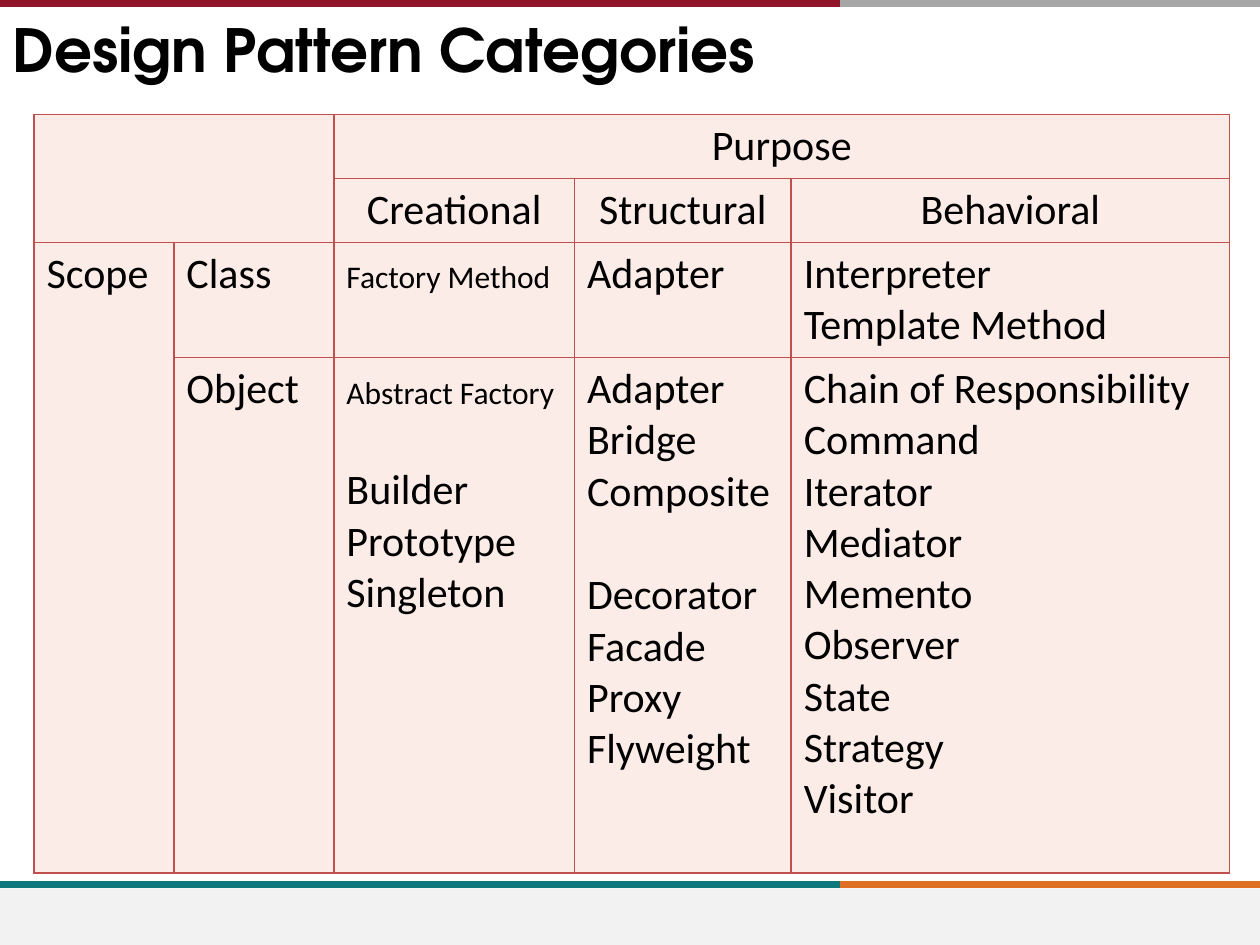
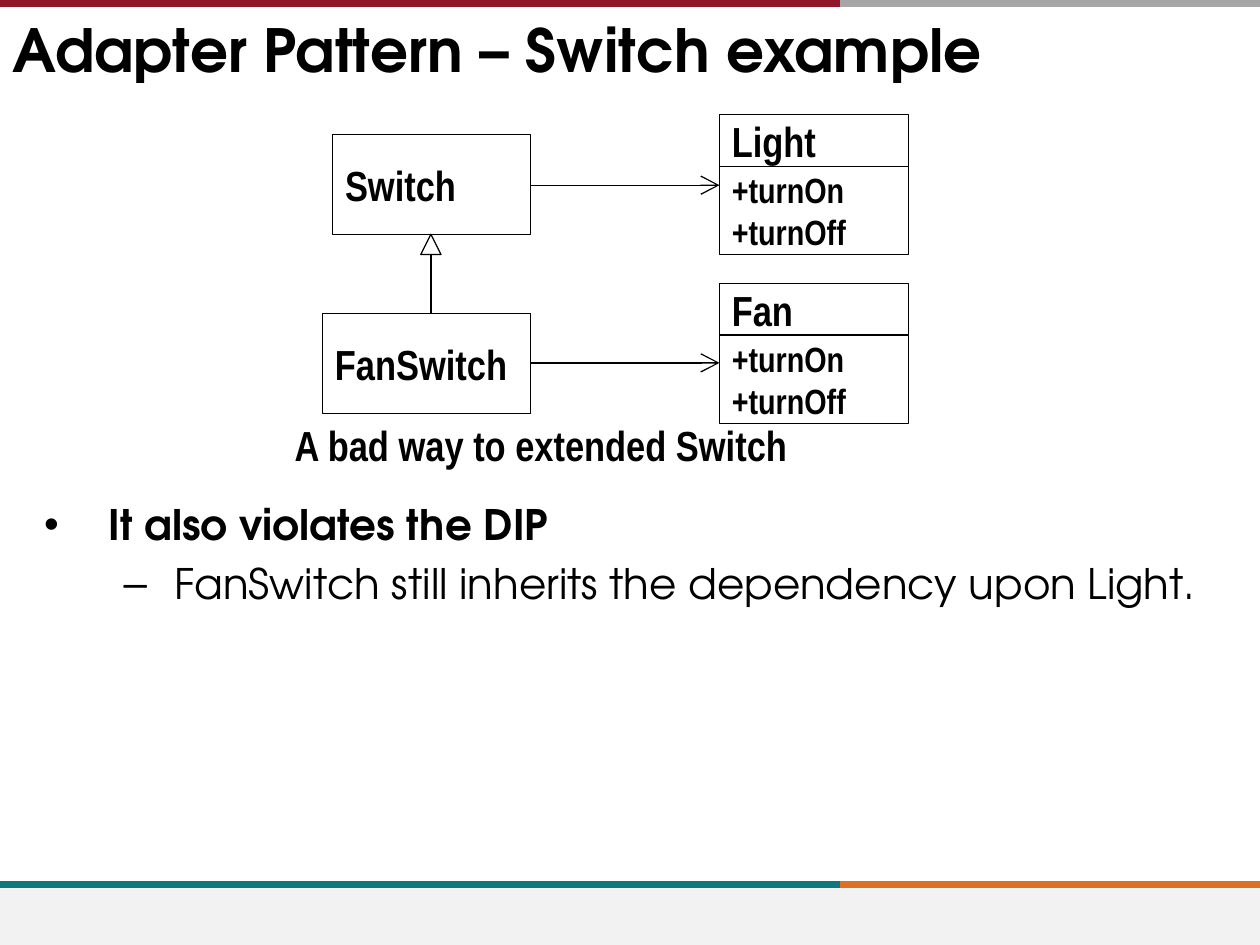
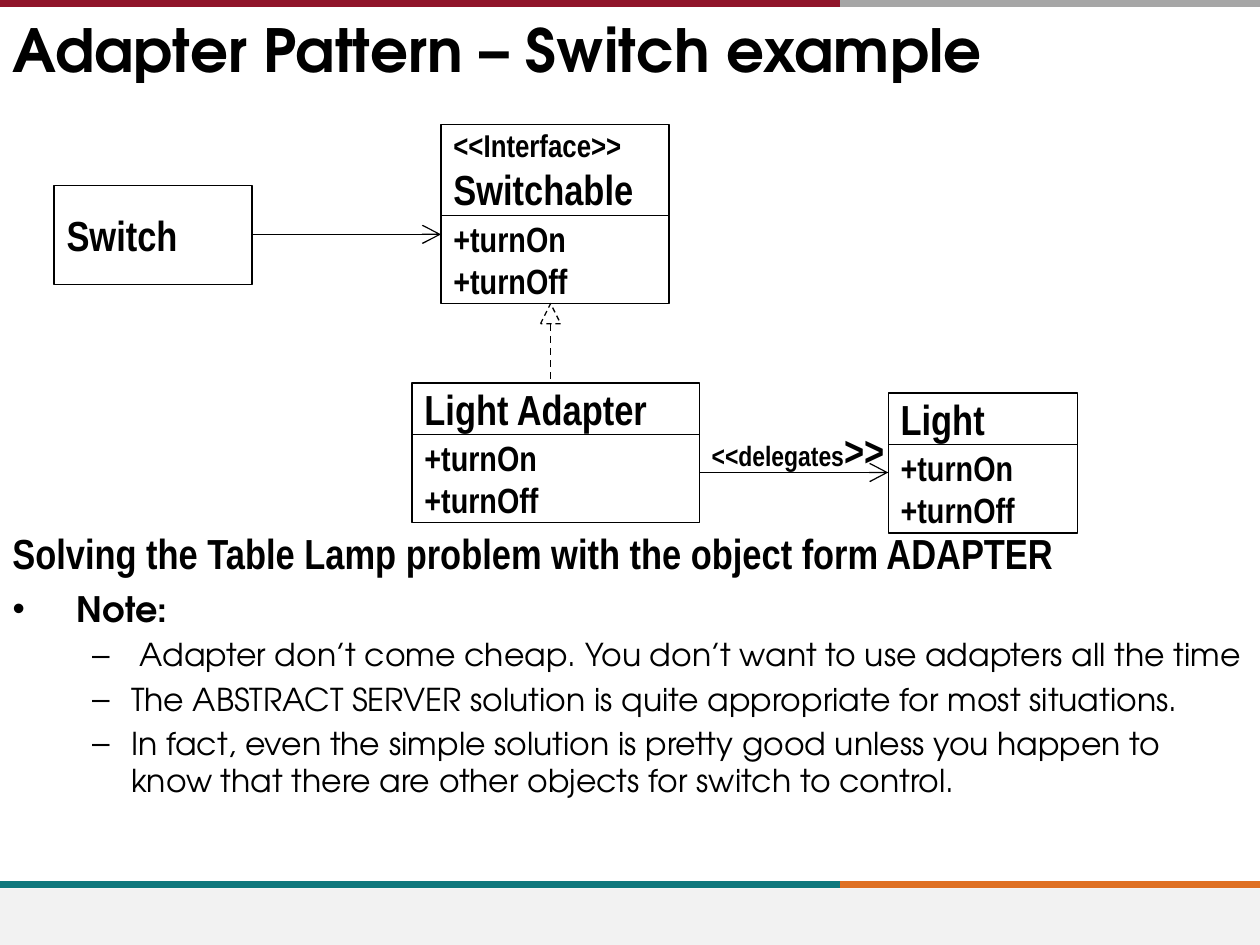
from pptx import Presentation, util as u
from pptx.dml.color import RGBColor
from pptx.enum import dml, shapes, text
from pptx.oxml import ns, parse_xml

HEAD = "TeX Gyre Adventor"
BODY = "Calibri"
NARROW = "Arial Narrow"
BLACK = "000000"
ROSE = "FCECE8"
RED = "C0504D"
SPACE = 'xmlns:a="http://schemas.openxmlformats.org/drawingml/2006/main"'
CALLS = "+turnOn\n+turnOff"


def hue(code):
    return RGBColor.from_string(code)


def put(frame, words, size, font=NARROW, bold=True, align="LEFT", level=0, before=None, pitch=None):
    para = frame.paragraphs[0]
    if para.runs:
        para = frame.add_paragraph()
    para.text = words
    para.alignment = getattr(text.PP_ALIGN, align)
    para.level = level
    if before is not None:
        para.space_before = u.Pt(before)
    if pitch:
        para.line_spacing = u.Pt(pitch)
    for run in para.runs:
        run.font.size = u.Pt(size)
        run.font.name = font
        run.font.bold = bold
        run.font.color.rgb = hue(BLACK)
    return para


deck = Presentation()
deck.slide_width, deck.slide_height = u.Inches(10), u.Inches(7.5)
plain, listed = deck.slide_layouts[5], deck.slide_layouts[1]

titles = [
    (plain, "Design Pattern Categories"),
    (listed, "Adapter Pattern – Switch example"),
    (listed, "Adapter Pattern – Switch example"),
]
for layout, words in titles:
    slide = deck.slides.add_slide(layout)
    title = slide.shapes.title
    title.left, title.top = u.Inches(0), u.Inches(0)
    title.width, title.height = u.Inches(9.93), u.Inches(0.78)
    title.text_frame.vertical_anchor = text.MSO_ANCHOR.MIDDLE
    title.text_frame.auto_size = text.MSO_AUTO_SIZE.NONE
    put(title.text_frame, words, 34, HEAD)

grid, bad, good = deck.slides

foot = grid.shapes.add_shape(shapes.MSO_SHAPE.RECTANGLE, u.Inches(0), u.Inches(7.05), u.Inches(10), u.Inches(0.45))
foot.fill.solid()
foot.fill.fore_color.rgb = hue("F2F2F2")
foot.line.fill.background()
foot.shadow.inherit = False
bands = [foot]
for left, right, y, code in [
    (6.67, 10, 7.02, "DF7023"),
    (0, 6.67, 7.02, "0F787D"),
    (6.67, 10, 0.03, "A6A6A6"),
    (0, 6.67, 0.03, "90152A"),
]:
    band = grid.shapes.add_connector(shapes.MSO_CONNECTOR.STRAIGHT, u.Inches(left), u.Inches(y), u.Inches(right), u.Inches(y))
    band.line.width = u.Pt(4)
    band.line.color.rgb = hue(code)
    band.element.spPr.append(parse_xml(f"<a:effectLst {SPACE}/>"))
    bands.append(band)
for mark, band in enumerate(bands, 20):
    band.element.xpath("./*/p:cNvPr")[0].set("id", str(mark))
    deck.slide_master.shapes.element.append(band.element)

cols = [1.11, 1.27, 1.91, 1.72, 3.48]
rows = [0.5, 0.5, 0.9, 4.09]
table = grid.shapes.add_table(
    len(rows), len(cols), u.Inches(0.27), u.Inches(0.91), u.Inches(sum(cols)), u.Inches(sum(rows))
).table
table.first_row = table.horz_banding = False
for col, width in zip(table.columns, cols):
    col.width = u.Inches(width)
for row, height in zip(table.rows, rows):
    row.height = u.Inches(height)
for cell in table.iter_cells():
    props = cell._tc.get_or_add_tcPr()
    for side in ["lnL", "lnR", "lnT", "lnB"]:
        props.append(parse_xml(
            f'<a:{side} {SPACE} w="12700"><a:solidFill><a:srgbClr val="{RED}"/></a:solidFill></a:{side}>'
        ))
    cell.fill.solid()
    cell.fill.fore_color.rgb = hue(ROSE)
for top, left, low, right in [(0, 0, 1, 1), (0, 2, 0, 4), (2, 0, 3, 0)]:
    table.cell(top, left).merge(table.cell(low, right))

cells = {
    (0, 2): "Purpose",
    (1, 2): "Creational",
    (1, 3): "Structural",
    (1, 4): "Behavioral",
    (2, 0): "Scope",
    (2, 1): "Class",
    (2, 3): "Adapter",
    (2, 4): "Interpreter\nTemplate Method",
    (3, 1): "Object",
    (3, 3): "Adapter\nBridge\nComposite",
    (3, 4): "Chain of Responsibility\nCommand\nIterator\nMediator\nMemento\nObserver\nState\nStrategy\nVisitor",
}
for (row, col), words in cells.items():
    put(table.cell(row, col).text_frame, words, 24, BODY, False, "CENTER" if row < 2 else "LEFT")
for row, words in [(2, "Factory Method"), (3, "Abstract Factory")]:
    put(table.cell(row, 2).text_frame, words, 18, BODY, False, pitch=27.8)
for col, words in [(2, "Builder\nPrototype\nSingleton"), (3, "Decorator\nFacade\nProxy\nFlyweight")]:
    put(table.cell(3, col).text_frame, words, 24, BODY, False, before=30)

lists = [
    (bad, 0.25, 3.91, 9.75, 4.33, [
        ("It also violates the DIP", 24, 0),
        (" FanSwitch still inherits the dependency upon Light.", 24, 1),
    ]),
    (good, 0, 4.61, 10, 2.19, [
        ("Note:", 20, 0),
        (" Adapter don’t come cheap. You don’t want to use adapters all the time", 18, 1),
        ("The ABSTRACT SERVER solution is quite appropriate for most situations.", 18, 1),
        ("In fact, even the simple solution is pretty good unless you happen to know "
         "that there are other objects for switch to control.", 18, 1),
    ]),
]
for slide, x, y, width, height, items in lists:
    body = slide.placeholders[1]
    body.left, body.top = u.Inches(x), u.Inches(y)
    body.width, body.height = u.Inches(width), u.Inches(height)
    body.text_frame.auto_size = text.MSO_AUTO_SIZE.NONE
    for words, size, level in items:
        para = put(body.text_frame, words, size, HEAD, level == 0, level=level, before=size * 0.2 if level else 0)
        props = para._p.get_or_add_pPr()
        props.set("marL", str(u.Inches([0.51, 0.94][level])))
        props.set("indent", str(u.Inches([-0.51, -0.31][level])))
        props.append(parse_xml(f'<a:buChar {SPACE} char="{"•–"[level]}"/>'))

boxes = [
    (bad, 2.64, 1.07, 1.57, 0.79, "Switch", 24),
    (bad, 2.56, 2.49, 1.65, 0.79, "FanSwitch", 24),
    (good, 0.43, 1.47, 1.57, 0.79, "Switch", 24),
]
for slide, x, y, width, height, name in [
    (bad, 5.71, 0.91, 1.5, 0.41, "Light"),
    (bad, 5.71, 2.25, 1.5, 0.41, "Fan"),
    (good, 3.5, 0.99, 1.81, 0.72, "<<Interface>>\nSwitchable"),
    (good, 3.27, 3.04, 2.28, 0.41, "Light Adapter"),
    (good, 7.05, 3.12, 1.5, 0.41, "Light"),
]:
    boxes += [
        (slide, x, y, width, height, name, 24),
        (slide, x, y + height, width, 0.7, CALLS, 20),
    ]
for slide, x, y, width, height, words, size in boxes:
    box = slide.shapes.add_shape(shapes.MSO_SHAPE.RECTANGLE, u.Inches(x), u.Inches(y), u.Inches(width), u.Inches(height))
    box.shadow.inherit = False
    box.fill.background()
    box.line.color.rgb = hue(BLACK)
    box.line.width = u.Pt(0.75)
    box.text_frame.word_wrap = True
    box.text_frame.vertical_anchor = text.MSO_ANCHOR.MIDDLE
    para = put(box.text_frame, words, size)
    if words.startswith("<<"):
        para.runs[0].font.size = u.Pt(18)

links = [
    (bad, 4.21, 1.47, 5.71, 1.47, True, False),
    (bad, 4.21, 2.88, 5.71, 2.88, True, False),
    (bad, 3.42, 2.02, 3.42, 2.49, False, False),
    (good, 2.01, 1.86, 3.5, 1.86, True, False),
    (good, 5.55, 3.75, 7.05, 3.75, True, False),
    (good, 4.37, 2.57, 4.37, 3.04, False, True),
]
for slide, x, y, right, low, arrow, dashed in links:
    link = slide.shapes.add_connector(shapes.MSO_CONNECTOR.STRAIGHT, u.Inches(x), u.Inches(y), u.Inches(right), u.Inches(low))
    link.line.width = u.Pt(0.75 if arrow else 1)
    parts = [link]
    if not arrow:
        tip = slide.shapes.add_shape(
            shapes.MSO_SHAPE.ISOSCELES_TRIANGLE, u.Inches(x - 0.08), u.Inches(y - 0.16), u.Inches(0.16), u.Inches(0.16)
        )
        tip.shadow.inherit = False
        tip.fill.background()
        tip.line.width = u.Pt(0.75)
        parts.append(tip)
    for part in parts:
        part.line.color.rgb = hue(BLACK)
        if dashed:
            part.line.dash_style = dml.MSO_LINE.DASH
    props = link.element.spPr
    if arrow:
        props.find(ns.qn("a:ln")).append(parse_xml(f'<a:tailEnd {SPACE} type="arrow" w="lg" len="lg"/>'))
    props.append(parse_xml(f"<a:effectLst {SPACE}/>"))

for slide, x, y, width, words, size, wrap in [
    (bad, 2.24, 3.28, 5.2, "A bad way to extended Switch", 24, True),
    (good, 0, 4.14, 10, "Solving the Table Lamp problem with the object form ADAPTER", 24, True),
    (good, 5.55, 3.32, 1.58, "<<delegates", 16, False),
]:
    label = slide.shapes.add_textbox(u.Inches(x), u.Inches(y), u.Inches(width), u.Inches(0.5))
    label.text_frame.word_wrap = wrap
    label.text_frame.auto_size = text.MSO_AUTO_SIZE.SHAPE_TO_FIT_TEXT
    para = put(label.text_frame, words, size)
    if not wrap:
        end = para.add_run()
        end.text = ">>"
        end.font.size = u.Pt(24)
        end.font.name = NARROW
        end.font.bold = True
        end.font.color.rgb = hue(BLACK)

deck.save("out.pptx")
